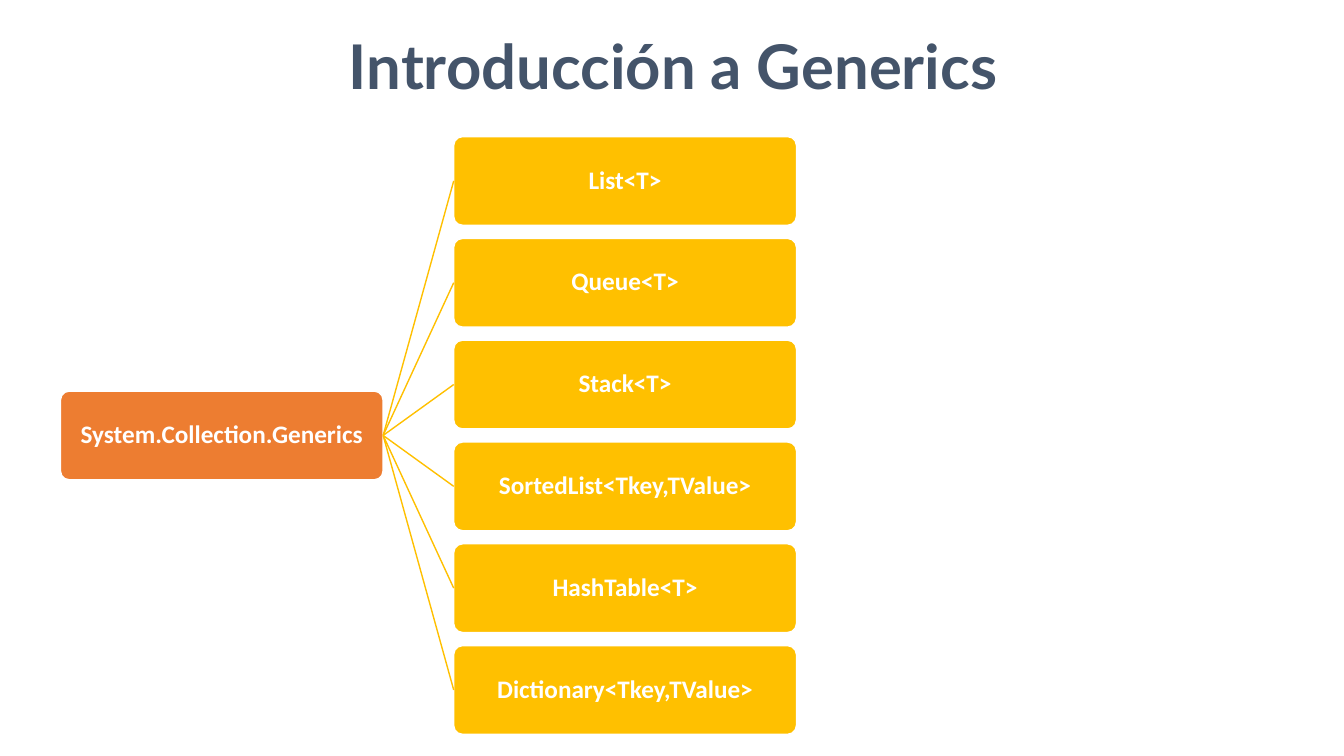
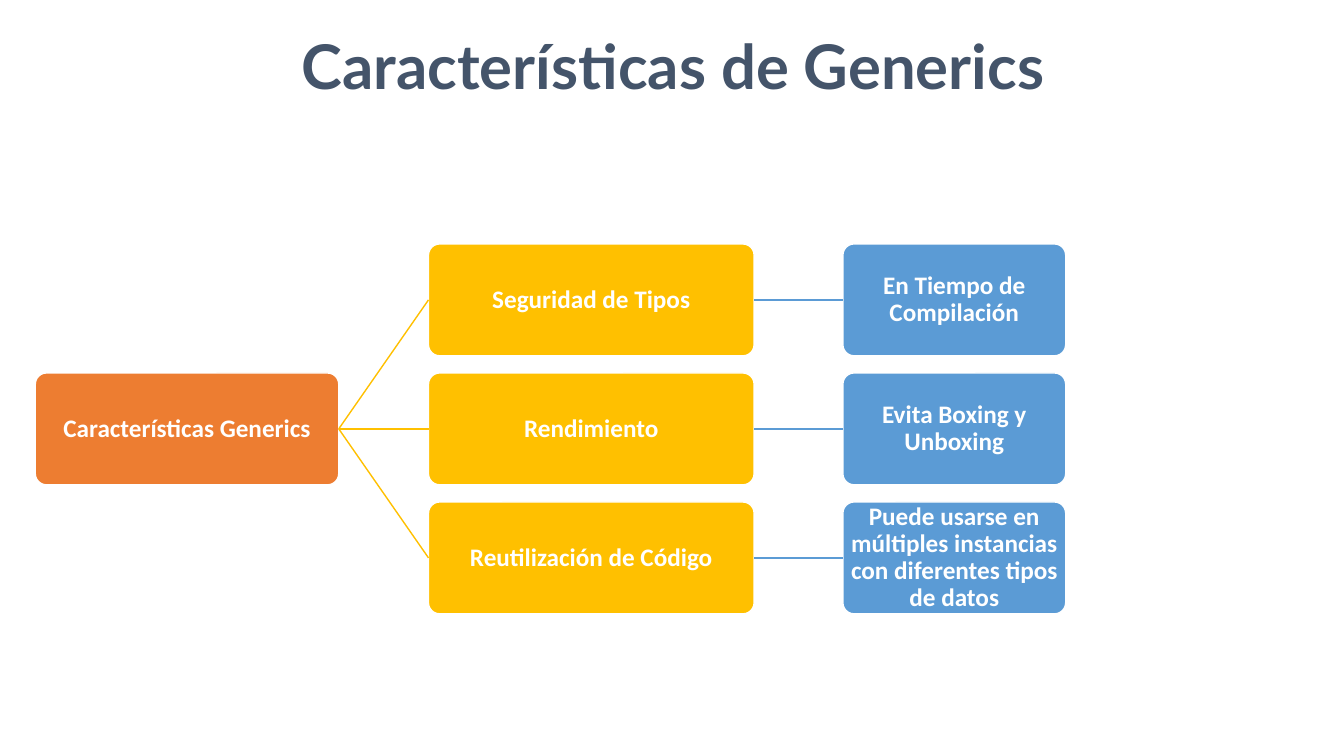
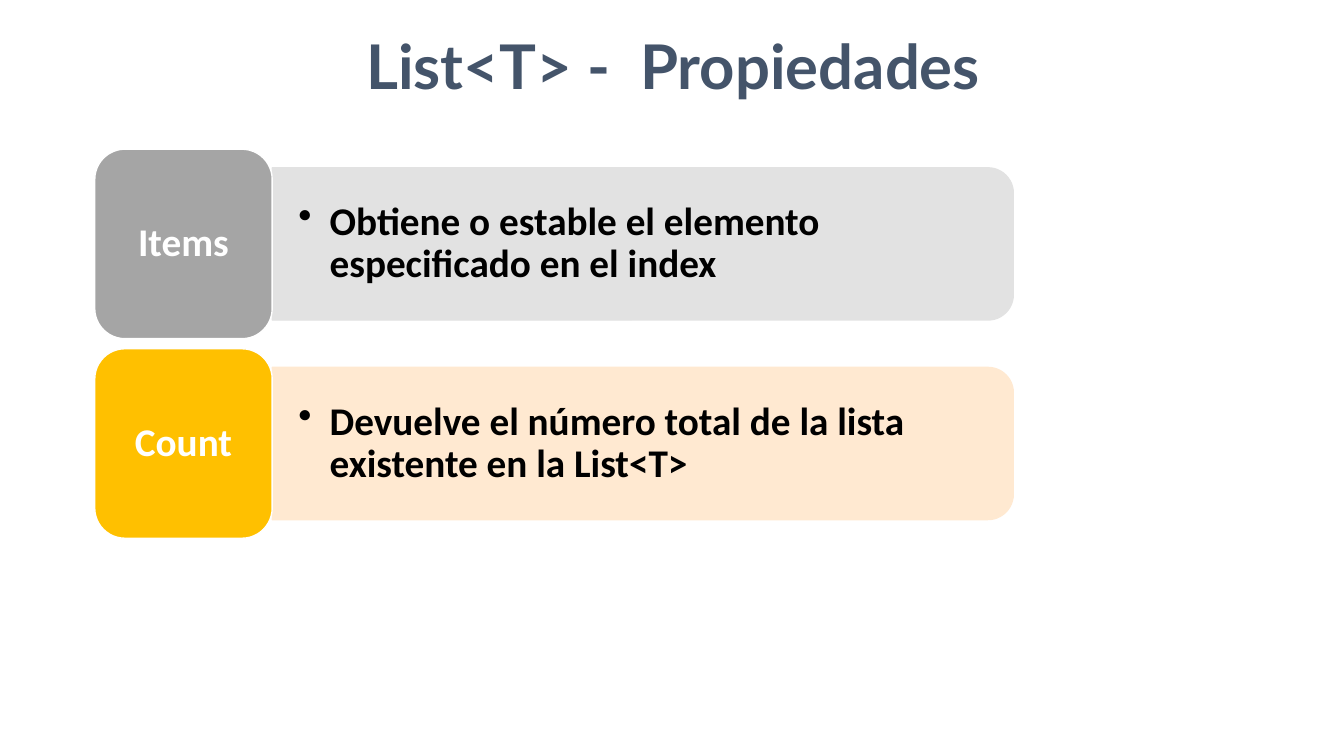
import pptx
import pptx.util
import pptx.dml.color
import pptx.enum.shapes
import pptx.enum.text
import pptx.oxml.ns
import lxml.etree

Inches = pptx.util.Inches
Pt = pptx.util.Pt
RGBColor = pptx.dml.color.RGBColor
Shapes = pptx.enum.shapes.MSO_SHAPE
Anchor = pptx.enum.text.MSO_ANCHOR
Align = pptx.enum.text.PP_ALIGN

WHITE = RGBColor(0xFF, 0xFF, 0xFF)
BLACK = RGBColor(0x00, 0x00, 0x00)
SLATE = RGBColor(0x44, 0x54, 0x6A)
ORANGE = RGBColor(0xED, 0x7D, 0x31)
AMBER = RGBColor(0xFF, 0xC0, 0x00)
BLUE = RGBColor(0x5B, 0x9B, 0xD5)
GRAY = RGBColor(0xA5, 0xA5, 0xA5)
PALE_GRAY = RGBColor(0xE2, 0xE2, 0xE2)
PALE_AMBER = RGBColor(0xFF, 0xE9, 0xD1)


def add_text(slide, text, left, top, width, height, fill=None, corner=0.1, size=18,
             font="Calibri", color=WHITE, margins=(0.01, 0.01), anchor=Anchor.MIDDLE,
             align=Align.CENTER, spacing=0.9, bullet=False):
    """Add bold text in a rounded box, or in a plain text box when there is no fill."""
    place = [Inches(length) for length in (left, top, width, height)]
    if fill is None:
        shape = slide.shapes.add_textbox(*place)
    else:
        shape = slide.shapes.add_shape(Shapes.ROUNDED_RECTANGLE, *place)
        shape.adjustments[0] = corner
        shape.shadow.inherit = False
        shape.fill.solid()
        shape.fill.fore_color.rgb = fill
        shape.line.color.rgb = WHITE
        shape.line.width = Pt(1)
    frame = shape.text_frame
    frame.word_wrap = True
    frame.vertical_anchor = anchor
    frame.margin_left = frame.margin_right = Inches(margins[0])
    frame.margin_top = frame.margin_bottom = Inches(margins[1])
    paragraph = frame.paragraphs[0]
    paragraph.alignment = align
    paragraph.line_spacing = spacing
    run = paragraph.add_run()
    run.text = text
    run.font.name = font
    run.font.size = Pt(size)
    run.font.bold = True
    run.font.color.rgb = color
    if bullet:
        paragraph.level = 1
        properties = paragraph._p.get_or_add_pPr()
        properties.set("marL", str(Inches(0.31)))
        properties.set("indent", str(Inches(-0.31)))
        mark = lxml.etree.SubElement(properties, pptx.oxml.ns.qn("a:buChar"))
        mark.set("char", "•")
    return shape


def add_link(slide, parent, child, color):
    """Join the right side of the parent box to the left side of the child box."""
    link = slide.shapes.add_connector(pptx.enum.shapes.MSO_CONNECTOR.STRAIGHT, 0, 0, 0, 0)
    link.begin_connect(parent, 3)
    link.end_connect(child, 1)
    link.line.color.rgb = color
    link.line.width = Pt(1)
    lxml.etree.SubElement(link._element.spPr, pptx.oxml.ns.qn("a:effectLst"))


presentation = pptx.Presentation()
presentation.slide_width = Inches(13.33)
presentation.slide_height = Inches(7.5)

slides = []
for title in ("Introducción a Generics", "Características de Generics",
              "List<T> -  Propiedades"):
    slide = presentation.slides.add_slide(presentation.slide_layouts[6])
    add_text(slide, title, 0.13, 0.26, 13.1, 0.79, size=44, font="Lato", color=SLATE,
             margins=(0.05, 0.02), anchor=Anchor.TOP, spacing=1.0)
    slides.append(slide)
collections_slide, features_slide, properties_slide = slides

# Trees: a root centred on its branches, each branch with an optional detail
trees = [
    dict(slide=collections_slide, root="System.Collection.Generics",
         root_left=0.6, root_width=3.2, branch_left=4.5, branch_width=3.4,
         top=3.88, height=0.88, pitch=1.01,
         branches=[("List<T>", None), ("Queue<T>", None), ("Stack<T>", None),
                   ("SortedList<Tkey,TValue>", None), ("HashTable<T>", None),
                   ("Dictionary<Tkey,TValue>", None)]),
    dict(slide=features_slide, root="Características Generics",
         root_left=0.35, root_width=3.01, branch_left=4.25, branch_width=3.23,
         top=3.7, height=1.11, pitch=1.28,
         branches=[("Seguridad de Tipos", "En Tiempo de Compilación"),
                   ("Rendimiento", "Evita Boxing y Unboxing"),
                   ("Reutilización de Código",
                    "Puede usarse en múltiples instancias con diferentes tipos de datos")]),
]
DETAIL_LEFT, DETAIL_WIDTH = 8.36, 2.21
for tree in trees:
    slide, height = tree["slide"], tree["height"]
    root = add_text(slide, tree["root"], tree["root_left"], tree["top"],
                    tree["root_width"], height, fill=ORANGE)
    middle = (len(tree["branches"]) - 1) / 2
    for index, (name, detail) in enumerate(tree["branches"]):
        top = tree["top"] + (index - middle) * tree["pitch"]
        branch = add_text(slide, name, tree["branch_left"], top,
                          tree["branch_width"], height, fill=AMBER)
        add_link(slide, root, branch, AMBER)
        if detail:
            detail_box = add_text(slide, detail, DETAIL_LEFT, top, DETAIL_WIDTH, height,
                                  fill=BLUE)
            add_link(slide, branch, detail_box, BLUE)

# Properties: a label tile beside a panel whose right corners are rounded
PANEL_LEFT, PANEL_WIDTH, PANEL_HEIGHT = 2.7, 7.35, 1.51
TILE_HEIGHT = 1.88
properties = [
    ("Items", "Obtiene o estable el elemento especificado en el index", GRAY, PALE_GRAY),
    ("Count", "Devuelve el número total de la lista existente en la List<T>",
     AMBER, PALE_AMBER),
]
for index, (name, description, tile_color, panel_color) in enumerate(properties):
    tile_top = 1.48 + index * 1.98
    center = tile_top + TILE_HEIGHT / 2
    # The panel is turned a quarter, so its width and height trade places
    panel = properties_slide.shapes.add_shape(
        Shapes.ROUND_2_SAME_RECTANGLE,
        Inches(PANEL_LEFT + (PANEL_WIDTH - PANEL_HEIGHT) / 2),
        Inches(center - PANEL_WIDTH / 2), Inches(PANEL_HEIGHT), Inches(PANEL_WIDTH))
    panel.rotation = 90
    panel.shadow.inherit = False
    panel.fill.solid()
    panel.fill.fore_color.rgb = panel_color
    panel.line.color.rgb = panel_color
    panel.line.width = Pt(1)
    add_text(properties_slide, description, 2.69, center - 0.68, 7.28, 1.36, size=28,
             color=BLACK, margins=(0.27, 0.14), align=Align.LEFT, bullet=True)
    add_text(properties_slide, name, 0.94, tile_top, 1.76, TILE_HEIGHT, fill=tile_color,
             corner=0.17, size=28, margins=(0.12, 0.06))

presentation.save("out.pptx")
